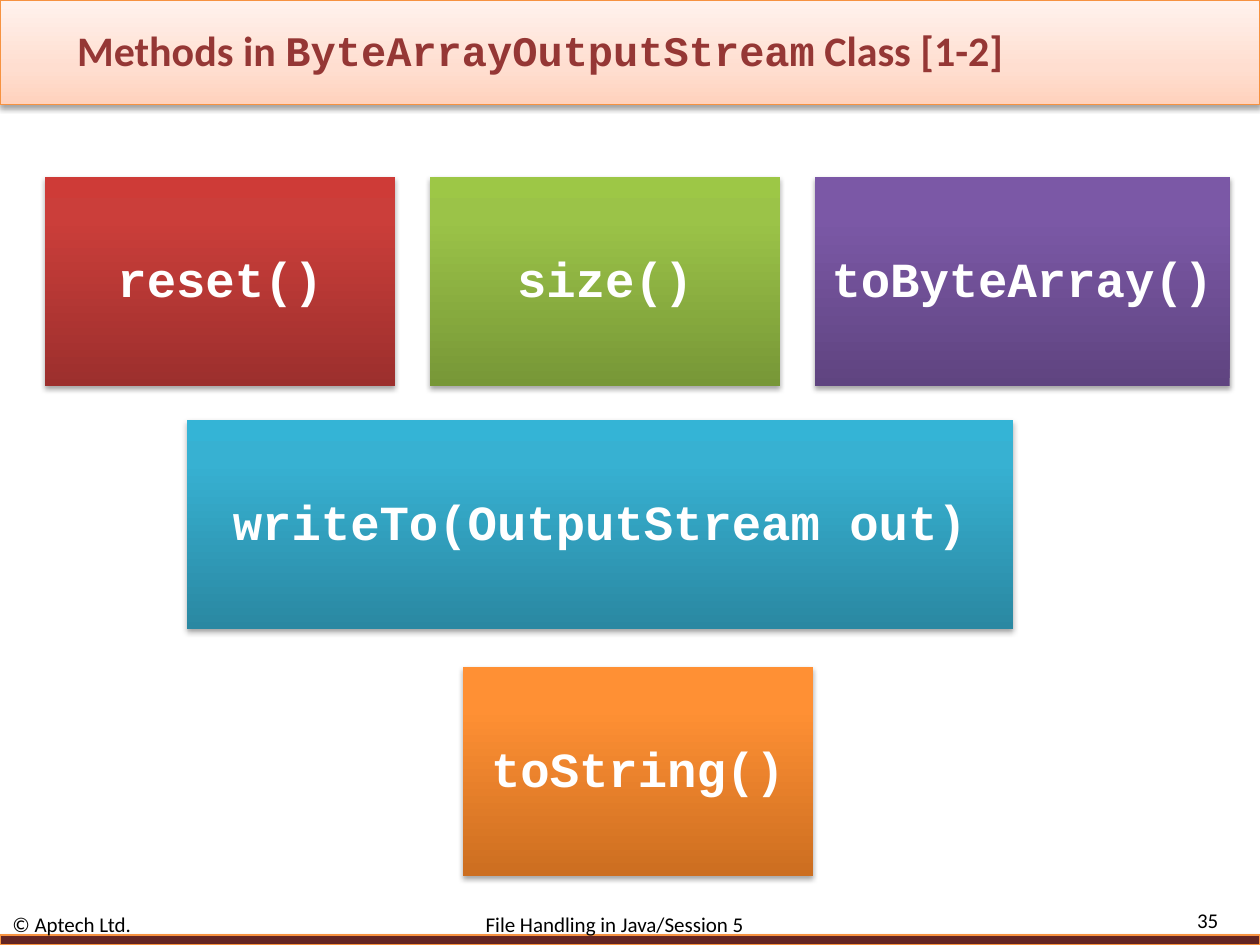
import dataclasses

import pptx
import pptx.dml.color
import pptx.enum.shapes
import pptx.enum.text
import pptx.oxml
import pptx.oxml.ns
import pptx.util
from lxml import etree

Cm = pptx.util.Cm
Pt = pptx.util.Pt
ALIGN = pptx.enum.text.PP_ALIGN
RECT = pptx.enum.shapes.MSO_SHAPE.RECTANGLE
NS = 'xmlns:a="http://schemas.openxmlformats.org/drawingml/2006/main"'


@dataclasses.dataclass(frozen=True)
class Theme:
    sans: str = "Calibri"
    mono: str = "Courier New"
    head: int = 24
    card: int = 28
    foot: int = 12
    title: str = "953735"
    dark: str = "632523"
    edge: str = "F69240"
    ink: str = "000000"
    white: str = "FFFFFF"
    band: tuple = ((0, "FFD2BD"), (35, "FFDED0"), (100, "FFF2ED"))
    red: tuple = ((0, "9C2F2D"), (80, "CB3E3A"), (100, "CE3B37"))
    green: tuple = ((0, "779737"), (80, "9BC348"), (100, "9DC746"))
    purple: tuple = ((0, "5F4480"), (80, "7B58A6"), (100, "7C57A8"))
    blue: tuple = ((0, "2A88A2"), (80, "37B1D2"), (100, "34B4D6"))
    orange: tuple = ((0, "CC6E20"), (80, "FF9034"), (100, "FF9136"))


THEME = Theme()


def rgb(code):
    return pptx.dml.color.RGBColor.from_string(code)


def style(run, face, size, color, bold=False):
    run.font.name = face
    run.font.size = Pt(size)
    run.font.bold = bold
    run.font.color.rgb = rgb(color)


def shade(shape, stops):
    shape.fill.gradient()
    grad = shape._element.spPr.find(pptx.oxml.ns.qn("a:gradFill"))
    marks = "".join(
        f'<a:gs pos="{pos * 1000}"><a:srgbClr val="{code}"/></a:gs>'
        for pos, code in stops
    )
    new = pptx.oxml.parse_xml(
        f'<a:gradFill {NS} rotWithShape="1"><a:gsLst>{marks}</a:gsLst>'
        '<a:lin ang="16200000" scaled="0"/></a:gradFill>'
    )
    grad.getparent().replace(grad, new)


def block(slide, box, fill, line=None):
    shape = slide.shapes.add_shape(RECT, *map(Cm, box))
    if isinstance(fill, str):
        shape.fill.solid()
        shape.fill.fore_color.rgb = rgb(fill)
    else:
        shade(shape, fill)
    if line:
        shape.line.color.rgb = rgb(line)
        shape.line.width = Pt(0.75)
    else:
        shape.line.fill.background()
    shape.shadow.inherit = False
    glow = shape._element.spPr.find(pptx.oxml.ns.qn("a:effectLst"))
    glow.append(pptx.oxml.parse_xml(
        f'<a:outerShdw {NS} blurRad="{Pt(3.1)}" dist="{Pt(1.8)}" '
        'dir="5400000" rotWithShape="0"><a:srgbClr val="000000">'
        '<a:alpha val="35000"/></a:srgbClr></a:outerShdw>'
    ))
    return shape


def header(slide, box, parts):
    left, top, width, height = box
    band = block(slide, box, THEME.band, THEME.edge)
    title = slide.shapes.title
    band._element.addnext(title._element)
    title.left, title.top = Cm(left + 1.3), Cm(top + 0.43)
    title.width, title.height = Cm(width - 4.9), Cm(height - 0.96)
    frame = title.text_frame
    frame.auto_size = pptx.enum.text.MSO_AUTO_SIZE.NONE
    frame.vertical_anchor = pptx.enum.text.MSO_ANCHOR.MIDDLE
    para = frame.paragraphs[0]
    para.alignment = ALIGN.LEFT
    for text, face in parts:
        run = para.add_run()
        run.text = text
        style(run, face, THEME.head, THEME.title, True)
        run.font._element.insert(0, pptx.oxml.parse_xml(
            f'<a:ln {NS} w="{Pt(0.75)}"><a:solidFill>'
            f'<a:srgbClr val="{THEME.dark}"/></a:solidFill></a:ln>'
        ))


def card(slide, box, text, fill):
    frame = block(slide, box, fill).text_frame
    frame.margin_left = frame.margin_right = Cm(0.3)
    frame.margin_top = frame.margin_bottom = Cm(0.3)
    frame.word_wrap = True
    frame.vertical_anchor = pptx.enum.text.MSO_ANCHOR.MIDDLE
    frame.text = text
    para = frame.paragraphs[0]
    para.alignment = ALIGN.CENTER
    para.line_spacing = 0.9
    style(para.runs[0], THEME.mono, THEME.card, THEME.white, True)


def cards(slide, box, rows):
    left, top, high, gap = box
    for shift, drop, items in rows:
        edge = left + shift
        for text, width, fill in items:
            card(slide, (edge, top + drop, width, high), text, fill)
            edge += width + gap


def label(slide, box, text, align, tab=None):
    frame = slide.shapes.add_textbox(*map(Cm, box)).text_frame
    frame.word_wrap = True
    frame.vertical_anchor = pptx.enum.text.MSO_ANCHOR.MIDDLE
    frame.text = text
    para = frame.paragraphs[0]
    para.alignment = align
    if tab:
        stops = etree.SubElement(
            para._p.get_or_add_pPr(), pptx.oxml.ns.qn("a:tabLst"))
        etree.SubElement(
            stops, pptx.oxml.ns.qn("a:tab"), pos=str(Cm(tab)), algn="l")
    style(para.runs[0], THEME.sans, THEME.foot, THEME.ink)


def footer(slide, box, text, page):
    left, top, width, height = box
    block(slide, (left, top + height - 0.2, width, 0.2),
          THEME.dark, THEME.edge)
    label(slide, (left, top + 0.1, 22.43, 0.44), text, ALIGN.LEFT, 9.54)
    label(slide, (left + width - 2.75, top, 2.16, 0.46), page, ALIGN.RIGHT)


def main():
    deck = pptx.Presentation()
    deck.slide_width, deck.slide_height = Cm(25.4), Cm(19.05)
    slide = deck.slides.add_slide(deck.slide_layouts[5])
    header(slide, (0, 0, 25.4, 2.11), [
        ("Methods in ", THEME.sans),
        ("ByteArrayOutputStream", THEME.mono),
        (" Class [1-2]", THEME.sans),
    ])
    unit = 7.06
    cards(slide, (0.91, 3.56, 4.23, 0.7), [
        (0, 0, [
            ("reset()", unit, THEME.red),
            ("size()", unit, THEME.green),
            ("toByteArray()", 8.36, THEME.purple),
        ]),
        (2.86, 4.9, [("writeTo(OutputStream out)", 16.65, THEME.blue)]),
        (8.42, 9.88, [("toString()", unit, THEME.orange)]),
    ])
    footer(slide, (0, 18.31, 25.4, 0.74),
           "© Aptech Ltd.\tFile Handling in Java/Session 5", "35")
    deck.save("out.pptx")


if __name__ == "__main__":
    main()
